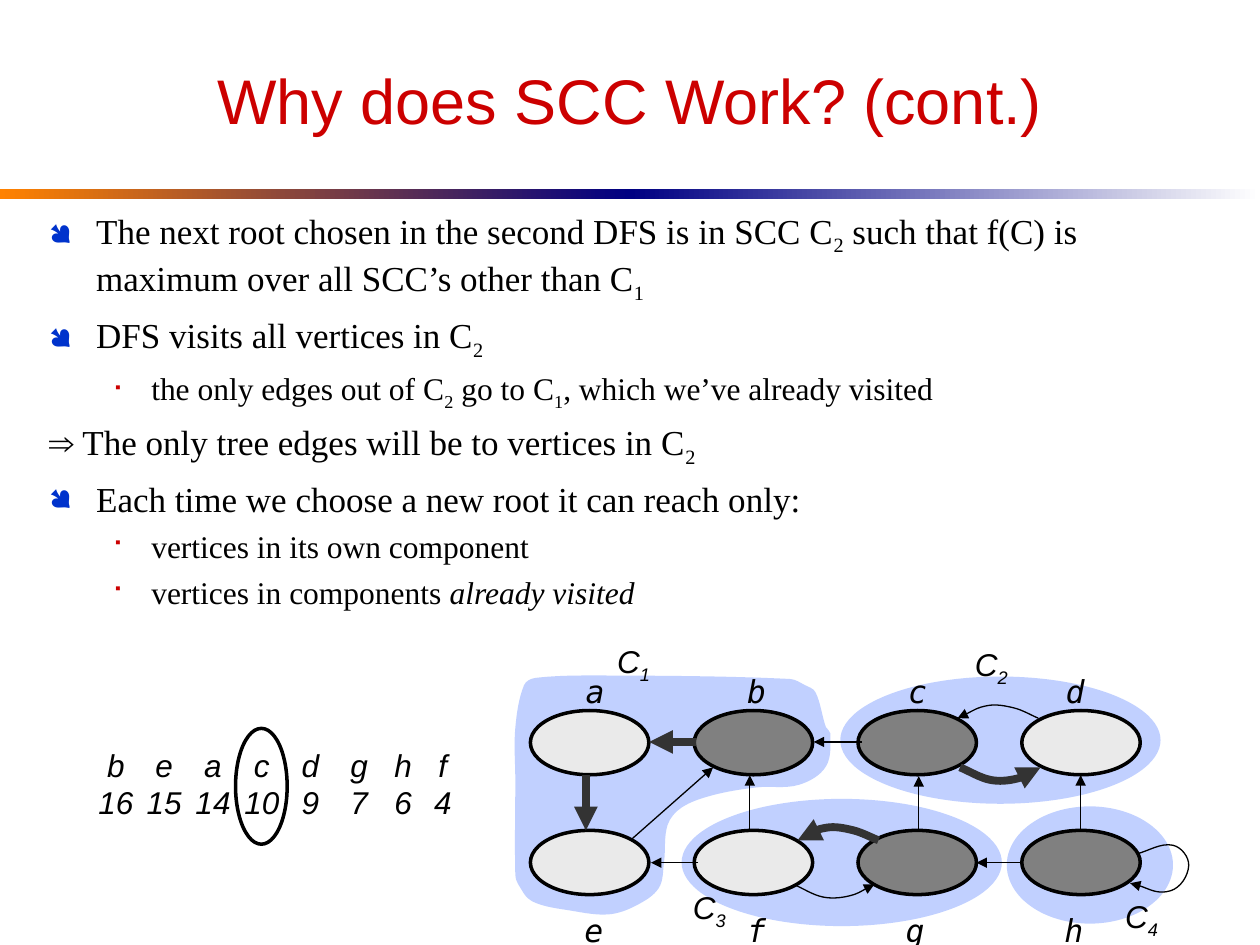
import math
from dataclasses import dataclass
from typing import NamedTuple

from lxml import etree
from pptx import Presentation
from pptx import util as u
from pptx.dml import color
from pptx.enum import shapes, text
from pptx.oxml import ns

SANS, SERIF, MONO = "Arial", "Times New Roman", "DejaVu Sans Mono"
BLACK, RED, BLUE, CHARCOAL = "000000", "CC0000", "0033CC", "333333"
LIGHT, DARK, REGION = "EAEAEA", "808080", "3366FF"


class Span(NamedTuple):
    text: str
    baseline: int = 0
    italic: bool = False
    font: str = ""


class Box(NamedTuple):
    left: float
    top: float
    width: float
    height: float


@dataclass
class Item:
    spans: list
    level: int = 0
    bullet: str = "●"


@dataclass
class Edge:
    points: list
    thick: bool = False


def sub(digit: str) -> Span:
    return Span(digit, -25000)


def rgb(value: str) -> color.RGBColor:
    return color.RGBColor.from_string(value)


def apply(target, values: dict) -> None:
    for name, value in values.items():
        setattr(target, name, value)


def add_element(parent, tag: str, **attributes: str):
    return etree.SubElement(parent, ns.qn(tag), attributes)


def add_spans(para, spans: list, size: float, font: str, ink: str, italic: bool = False) -> None:
    for span in spans:
        run = para.add_run()
        run.text = span.text
        apply(run.font, {"size": u.Pt(size), "name": span.font or font, "italic": italic or span.italic})
        run.font.color.rgb = rgb(ink)
        if span.baseline:
            run._r.get_or_add_rPr().set("baseline", str(span.baseline))


def add_frame(page, box: Box, **values):
    frame = page.shapes.add_textbox(*map(u.Pt, box)).text_frame
    apply(frame, {"word_wrap": True, **values})
    return frame


def add_label(page, box: Box, lines: list, font: str = SANS, align=None) -> None:
    frame = add_frame(page, box, word_wrap=False)
    for index, spans in enumerate(lines):
        para = frame.add_paragraph() if index else frame.paragraphs[0]
        para.alignment = align
        add_spans(para, spans, 18, font, BLACK, italic=True)


def paint(shape, fill: str = "", line: str = "", width: float = 0, alpha: int = 100) -> None:
    shape.shadow.inherit = False
    if fill:
        shape.fill.solid()
        shape.fill.fore_color.rgb = rgb(fill)
        if alpha < 100:
            solid = shape._element.spPr.find(ns.qn("a:solidFill"))
            add_element(solid[0], "a:alpha", val=str(alpha * 1000))
    else:
        shape.fill.background()
    if line:
        shape.line.color.rgb = rgb(line)
        shape.line.width = u.Pt(width)
    else:
        shape.line.fill.background()


def add_oval(page, box: Box, **style) -> None:
    paint(page.shapes.add_shape(shapes.MSO_SHAPE.OVAL, *map(u.Pt, box)), **style)


def add_band(page, box: Box, colours: tuple) -> None:
    band = page.shapes.add_shape(shapes.MSO_SHAPE.RECTANGLE, *map(u.Pt, box))
    paint(band)
    band.fill.gradient()
    band.fill.gradient_angle = 0
    for stop, position, value in zip(band.fill.gradient_stops, (0, 1), colours):
        stop.position = position
        stop.color.rgb = rgb(value)


def handle(anchor: tuple, origin: tuple, target: tuple, length: float) -> tuple:
    scale = length / 3 / math.dist(origin, target)
    return tuple(a + (t - o) * scale for a, o, t in zip(anchor, origin, target))


def add_curve(page, points: list, closed: bool = False):
    anchors = points + points[:1] if closed else points
    first, *rest = [(u.Pt(x), u.Pt(y)) for x, y in anchors]
    builder = page.shapes.build_freeform(*first, scale=1.0)
    builder.add_line_segments(rest, close=closed)
    curve = builder.convert_to_shape()
    outline = next(curve._element.iter(ns.qn("a:path")))
    knots = [(int(knot.get("x")), int(knot.get("y"))) for knot in outline.iter(ns.qn("a:pt"))]
    before, after = (knots[-2], knots[1]) if closed else (knots[0], knots[-1])
    ring = [before, *knots, after]
    segments = list(outline.iter(ns.qn("a:lnTo")))
    for segment, a, b, c, d in zip(segments, ring, ring[1:], ring[2:], ring[3:]):
        length = math.dist(b, c)
        bend = etree.Element(ns.qn("a:cubicBezTo"))
        for x, y in (handle(b, a, c, length), handle(c, d, b, length), c):
            add_element(bend, "a:pt", x=str(round(x)), y=str(round(y)))
        outline.replace(segment, bend)
    return curve


def add_edge(page, edge: Edge) -> None:
    ink, width = (CHARCOAL, 4.5) if edge.thick else (BLACK, 0.75)
    if len(edge.points) == 2:
        start, end = edge.points
        arrow = page.shapes.add_connector(shapes.MSO_CONNECTOR.STRAIGHT, *map(u.Pt, start + end))
        arrow.line.color.rgb = rgb(ink)
        arrow.line.width = u.Pt(width)
        add_element(arrow._element.spPr, "a:effectLst")
    else:
        arrow = add_curve(page, edge.points)
        paint(arrow, line=ink, width=width)
    add_element(arrow.line._get_or_add_ln(), "a:tailEnd", type="triangle")


def add_item(para, item: Item) -> None:
    size, before, margin, hang, ink = [(20, 5, 27, 27, BLUE), (18, 4.5, 58.5, 22.5, RED)][item.level]
    apply(para, {"level": item.level, "space_before": u.Pt(before)})
    properties = para._p.get_or_add_pPr()
    properties.set("marL", str(u.Pt(margin)))
    properties.set("indent", str(u.Pt(-hang)))
    if item.bullet:
        add_element(add_element(properties, "a:buClr"), "a:srgbClr", val=ink)
        add_element(properties, "a:buSzPct", val="85000")
        add_element(properties, "a:buFont", typeface="Wingdings", charset="2")
        add_element(properties, "a:buChar", char=item.bullet)
    add_spans(para, item.spans, size, SERIF, BLACK)


ITEMS = [
    Item([Span("The next root chosen in the second DFS is in SCC C"), sub("2"),
          Span(" such that f(C) is maximum over all SCC’s other than C"), sub("1")]),
    Item([Span("DFS visits all vertices in C"), sub("2")]),
    Item([Span("the only edges out of C"), sub("2"), Span(" go to C"), sub("1"),
          Span(", which we’ve already visited")], 1, "■"),
    Item([Span("⇒", font=SANS), Span(" The only tree edges will be to vertices in C"), sub("2")], bullet=""),
    Item([Span("Each time we choose a new root it can reach only:")]),
    Item([Span("vertices in its own component")], 1, "■"),
    Item([Span("vertices in components "), Span("already visited", italic=True)], 1, "■"),
]
FIRST_REGION = [
    (306, 387.4), (345, 386), (451.5, 388), (460, 391.5), (466, 395.5), (472, 415.5), (474.5, 419),
    (472, 438), (456.5, 448.5), (432, 450), (407, 454.5), (389.5, 461.5), (381.5, 471.5), (379.5, 492.5),
    (376.5, 507.5), (363.5, 517.5), (348, 522.5), (327, 520.5), (304, 515), (296, 505), (294.5, 500),
    (294.5, 446), (294.5, 416), (299.5, 391.5)]
REGIONS = [Box(575.3, 460.8, 95, 67), Box(480.2, 386.6, 183, 72.7), Box(389.5, 456.5, 183, 72.7)]
COMPONENTS = [(345.6, 363.6), (550, 365), (388.8, 504), (635.8, 509)]
VERTEX_ROWS = [
    (406, 380.2, "abcd", (327.6, 419.8, 511.9, 601.9), (LIGHT, DARK, DARK, LIGHT)),
    (474.5, 517, "efgh", (326.9, 419.8, 510.5, 601.2), (LIGHT, LIGHT, DARK, DARK))]
EDGES = [
    Edge([(397.5, 424), (371, 424)], True),
    Edge([(492.5, 424), (465, 424)]),
    Edge([(399, 493), (372, 493)]),
    Edge([(584.5, 493), (558, 493)]),
    Edge([(334.8, 443), (334.8, 474.5)], True),
    Edge([(428.5, 474.5), (428.5, 443)]),
    Edge([(525, 475), (525, 443.5)]),
    Edge([(617.5, 474.5), (617.5, 443)]),
    Edge([(361, 479.5), (407.5, 438.5)]),
    Edge([(502, 480.2), (487.5, 474.5), (472.3, 473), (455.8, 480.2)], True),
    Edge([(593.3, 410.4), (579.6, 404.6), (564.5, 403.2), (547.2, 410.4)]),
    Edge([(548.6, 438.5), (566, 445.7), (581, 445), (594.7, 438.5)], True),
    Edge([(453.6, 505.4), (470.2, 512.6), (485.3, 512), (499.7, 505.4)]),
    Edge([(649.4, 488), (670.3, 483), (679.3, 494.6), (669, 509), (645.8, 504.7)]),
]
FINISH_TIMES = [("b", 16, 66.2), ("e", 15, 93.8), ("a", 14, 121.7), ("c", 10, 149.6),
                ("d", 9, 177.3), ("g", 7, 205.2), ("h", 6, 230.4), ("f", 4, 253)]


def main() -> None:
    deck = Presentation()
    apply(deck, {"slide_width": u.Pt(720), "slide_height": u.Pt(540)})
    page = deck.slides.add_slide(deck.slide_layouts[6])
    add_band(page, Box(0, 108, 360, 5.76), ("FF8200", "000082"))
    add_band(page, Box(360, 108, 360, 5.76), ("000082", "FFFFFF"))
    title = add_frame(page, Box(36, 18, 648, 78), vertical_anchor=text.MSO_ANCHOR.MIDDLE).paragraphs[0]
    title.alignment = text.PP_ALIGN.CENTER
    add_spans(title, [Span("Why does SCC Work? (cont.)")], 36, SANS, RED)
    body = add_frame(page, Box(20.9, 116, 648, 281))
    for index, item in enumerate(ITEMS):
        add_item(body.add_paragraph() if index else body.paragraphs[0], item)

    paint(add_curve(page, FIRST_REGION, closed=True), fill=REGION, alpha=30)
    for region in REGIONS:
        add_oval(page, region, fill=REGION, alpha=30)
    for number, (left, top) in enumerate(COMPONENTS, 1):
        add_label(page, Box(left, top, 33, 31.7), [[Span("C"), sub(str(number))]])
    for top, label_top, names, lefts, fills in VERTEX_ROWS:
        for column, (name, left, fill) in enumerate(zip(names, lefts, fills)):
            add_oval(page, Box(303.1 + 93.6 * column, top, 67.7, 36.7), fill=fill, line=BLACK, width=2)
            add_label(page, Box(left, label_top, 24.5, 28.8), [[Span(name)]], MONO)
    for edge in EDGES:
        add_edge(page, edge)
    for name, time, center in FINISH_TIMES:
        add_label(page, Box(center - 17.3, 422.6, 34.6, 50.4), [[Span(name)], [Span(str(time))]],
                  align=text.PP_ALIGN.CENTER)
    add_oval(page, Box(134.6, 416.2, 29.5, 66.2), line=BLACK, width=2)
    deck.save("out.pptx")


if __name__ == "__main__":
    main()
